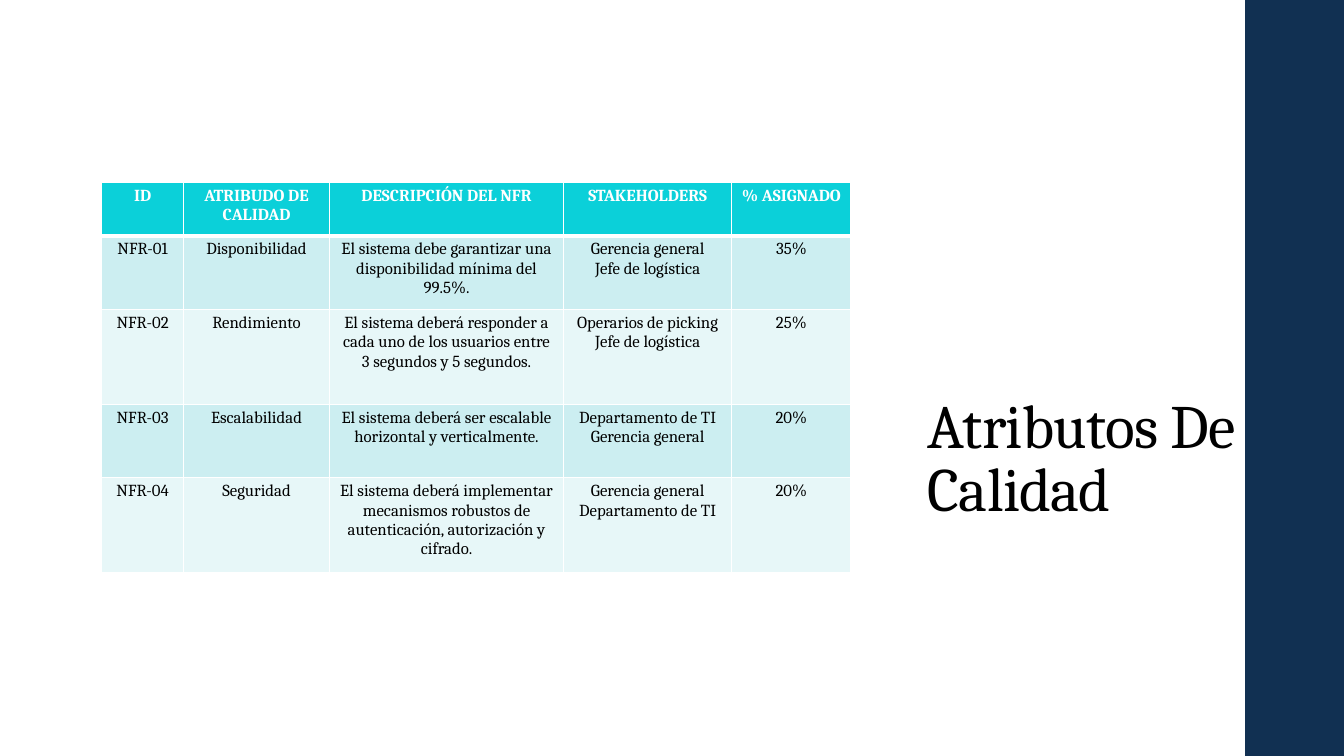
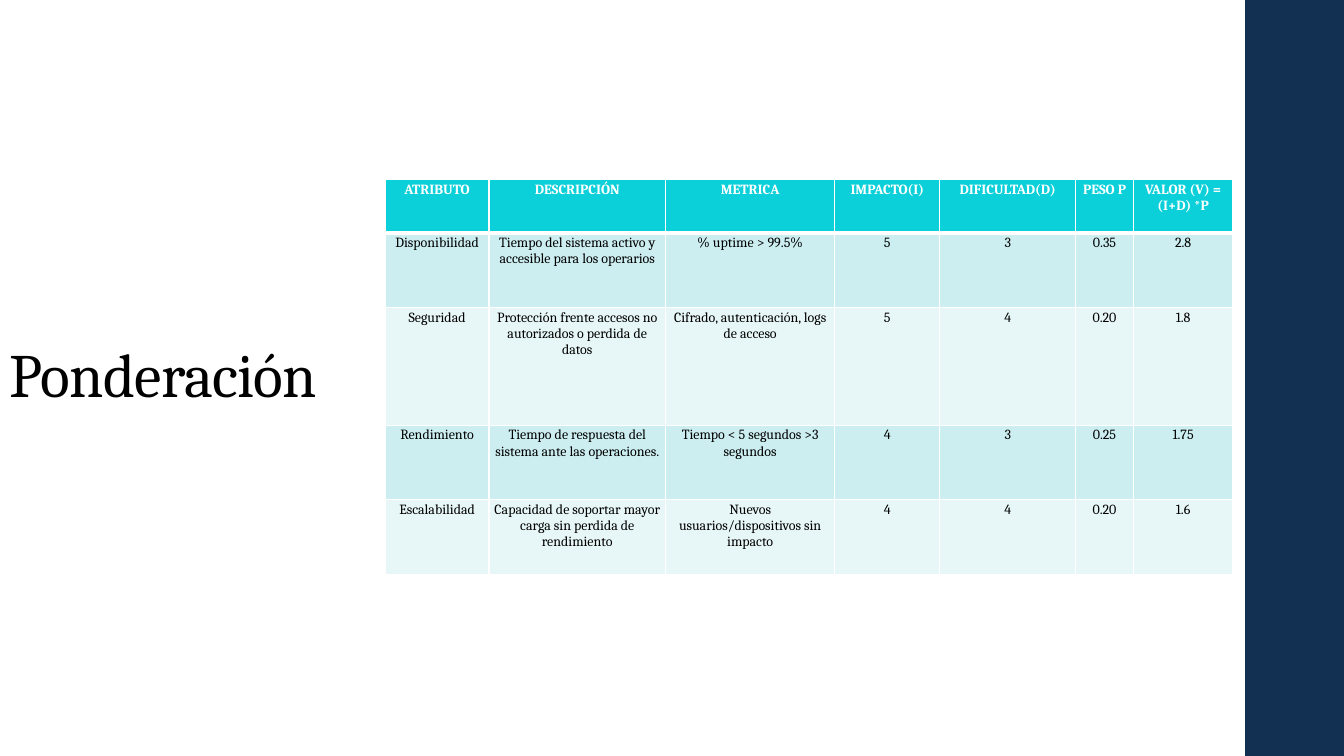
from dataclasses import dataclass

from lxml import etree
from pptx import Presentation
from pptx.dml.color import RGBColor
from pptx.enum.shapes import MSO_SHAPE
from pptx.enum.text import MSO_ANCHOR, PP_ALIGN
from pptx.oxml.ns import qn
from pptx.util import Inches, Pt

RECT = MSO_SHAPE.RECTANGLE
BOTTOM, MIDDLE = MSO_ANCHOR.BOTTOM, MSO_ANCHOR.MIDDLE
CENTER = PP_ALIGN.CENTER


@dataclass(frozen=True)
class Theme:
    font: str = "Cambria"
    white: str = "FFFFFF"
    text: str = "000000"
    band: str = "113052"
    header: str = "0BD0D9"
    rows: tuple = ("CCEEF1", "E7F7F8")
    title_size: int = 44
    title_spacing: float = -0.5
    rule: int = 1
    header_rule: int = 3


class Deck:
    def __init__(self, theme):
        self.theme = theme
        self.prs = Presentation()
        self.prs.slide_width = Inches(13.33)
        self.prs.slide_height = Inches(7.5)
        self.s = None

    def slide(self):
        self.s = self.prs.slides.add_slide(self.prs.slide_layouts[6])
        self.band()

    def band(self):
        sp = self.s.shapes.add_shape(RECT, *map(Inches, (12.35, 0, 0.98, 7.5)))
        sp.shadow.inherit = False
        sp.fill.solid()
        sp.fill.fore_color.rgb = RGBColor.from_string(self.theme.band)
        sp.line.fill.background()

    def style(self, r, color, **formats):
        for name, value in {"name": self.theme.font, **formats}.items():
            setattr(r.font, name, value)
        r.font.color.rgb = RGBColor.from_string(color)

    def title(self, text, box, anchor, line_spacing):
        tf = self.s.shapes.add_textbox(*map(Inches, box)).text_frame
        tf.word_wrap = True
        tf.vertical_anchor = anchor
        p = tf.paragraphs[0]
        p.line_spacing = line_spacing
        r = p.add_run()
        r.text = text
        self.style(r, self.theme.text, size=Pt(self.theme.title_size))
        r.font._element.set("spc", str(round(self.theme.title_spacing * 100)))

    def border(self, cell, side, width):
        tcPr = cell._tc.get_or_add_tcPr()
        ln = etree.SubElement(tcPr, qn(f"a:ln{side}"), w=str(Pt(width)))
        fill = etree.SubElement(ln, qn("a:solidFill"))
        etree.SubElement(fill, qn("a:srgbClr"), val=self.theme.white)

    def cell(self, cell, text, row, size, margins):
        th = self.theme
        is_header = row == 0
        for side in "LRTB":
            thick = (is_header and side == "B") or (row == 1 and side == "T")
            self.border(cell, side, th.header_rule if thick else th.rule)
        cell.fill.solid()
        fill = th.header if is_header else th.rows[(row - 1) % 2]
        cell.fill.fore_color.rgb = RGBColor.from_string(fill)
        across, down = map(Inches, margins)
        formats = {"margin_left": across, "margin_right": across,
                   "margin_top": down, "margin_bottom": down, "text": text}
        for name, value in formats.items():
            setattr(cell, name, value)
        for p in cell.text_frame.paragraphs:
            p.alignment = CENTER
            for r in p.runs:
                self.style(r, th.white if is_header else th.text,
                           size=Pt(size), bold=is_header)

    def table(self, left, top, widths, heights, data, size, margins):
        box = (left, top, sum(widths), sum(heights))
        table = self.s.shapes.add_table(
            len(data), len(widths), *map(Inches, box)).table
        for column, width in zip(table.columns, widths):
            column.width = Inches(width)
        for row, height in zip(table.rows, heights):
            row.height = Inches(height)
        for i, texts in enumerate(data):
            for j, text in enumerate(texts):
                self.cell(table.cell(i, j), text, i, size, margins)


ATTRIBUTES = [
    ("ID", "ATRIBUDO DE CALIDAD", "DESCRIPCIÓN DEL NFR", "STAKEHOLDERS",
     "% ASIGNADO"),
    ("NFR-01", "Disponibilidad",
     "El sistema debe garantizar una disponibilidad mínima del 99.5%.",
     "Gerencia general\nJefe de logística", "35%"),
    ("NFR-02", "Rendimiento",
     "El sistema deberá responder a cada uno de los usuarios entre "
     "3 segundos y 5 segundos.",
     "Operarios de picking\nJefe de logística", "25%"),
    ("NFR-03", "Escalabilidad",
     "El sistema deberá ser escalable horizontal y verticalmente.",
     "Departamento de TI\nGerencia general", "20%"),
    ("NFR-04", "Seguridad",
     "El sistema deberá implementar mecanismos robustos de "
     "autenticación, autorización y cifrado.",
     "Gerencia general\nDepartamento de TI", "20%"),
]

WEIGHTING = [
    ("ATRIBUTO", "DESCRIPCIÓN", "METRICA", "IMPACTO(I)", "DIFICULTAD(D)",
     "PESO P", "VALOR (V) = (I+D) *P"),
    ("Disponibilidad",
     "Tiempo del sistema activo y accesible para los operarios",
     "% uptime > 99.5%", "5", "3", "0.35", "2.8"),
    ("Seguridad",
     "Protección frente accesos no autorizados o perdida de datos",
     "Cifrado, autenticación, logs de acceso", "5", "4", "0.20", "1.8"),
    ("Rendimiento",
     "Tiempo de respuesta del sistema ante las operaciones.",
     "Tiempo < 5 segundos >3 segundos", "4", "3", "0.25", "1.75"),
    ("Escalabilidad",
     "Capacidad de soportar mayor carga sin perdida de rendimiento",
     "Nuevos usuarios/dispositivos sin impacto", "4", "4", "0.20", "1.6"),
]


def main():
    deck = Deck(Theme())

    deck.slide()
    deck.title("Atributos De Calidad", (9.1, 0.83, 3.39, 4.42), BOTTOM, 0.85)
    deck.table(1.01, 1.81, (0.81, 1.45, 2.32, 1.67, 1.18),
               (0.53, 0.73, 0.94, 0.73, 0.94), ATTRIBUTES,
               size=12, margins=(0.08, 0.04))

    deck.slide()
    deck.title("Ponderación", (0, 0.91, 3.69, 5.67), MIDDLE, 0.9)
    deck.table(3.82, 1.78, (1.03, 1.75, 1.68, 1.04, 1.35, 0.57, 0.99),
               (0.53, 0.74, 1.17, 0.74, 0.74), WEIGHTING,
               size=10, margins=(0.05, 0.02))

    deck.prs.save("out.pptx")


if __name__ == "__main__":
    main()
